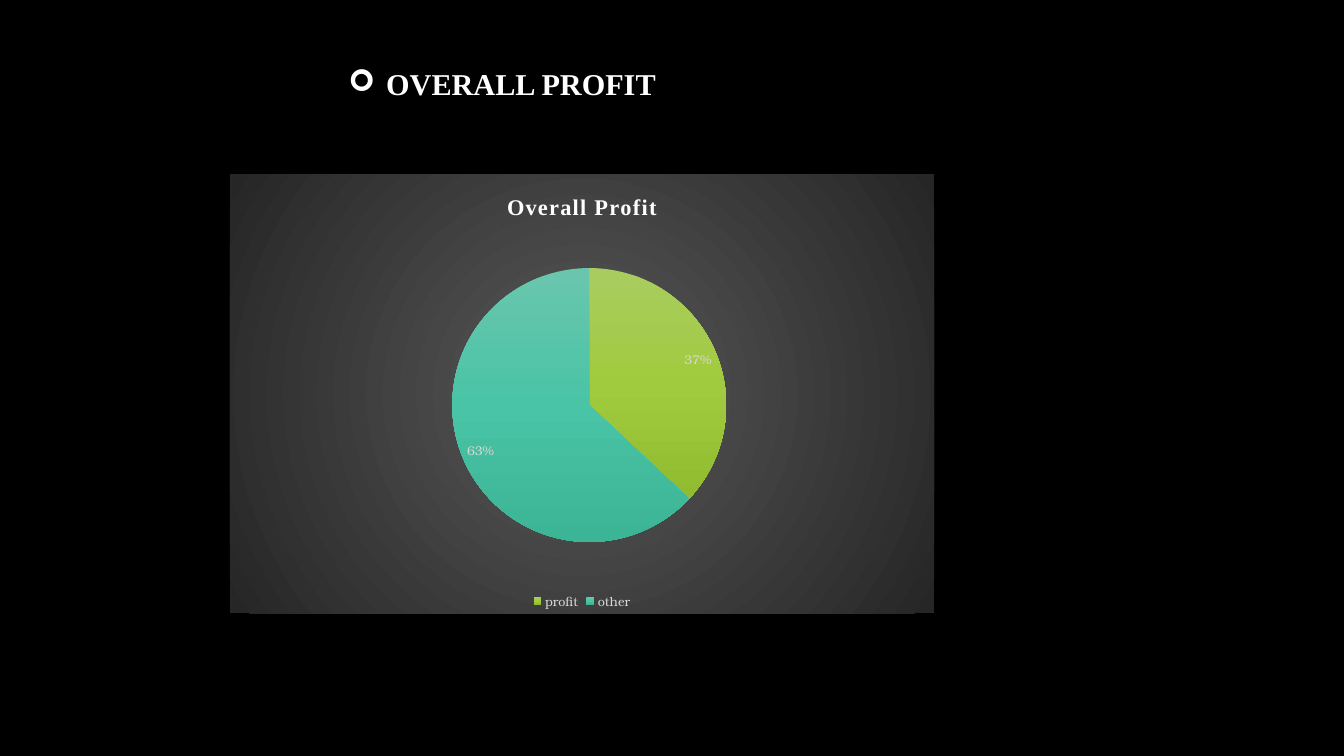
from lxml import etree
from pptx import Presentation
from pptx.chart.data import CategoryChartData
from pptx.dml.color import RGBColor
from pptx.enum.chart import XL_CHART_TYPE as Kind, XL_LABEL_POSITION as Spot, XL_LEGEND_POSITION as Side
from pptx.enum.text import MSO_ANCHOR as Anchor, PP_ALIGN as Align
from pptx.oxml import parse_xml
from pptx.oxml.ns import nsdecls, qn
from pptx.util import Cm, Pt

HUES = {
    "back": "000000", "text": "FFFFFF", "soft": "D9D9D9",
    "panel": ["595959", "262626"],
    "profit": ["A9CC61", "A1CB3E", "92BC30"],
    "other": ["69C6AD", "4AC4A6", "3CB496"],
}
SERIF = "Times New Roman"
BODY = "TeX Gyre Bonum"


def style(font, size, hue, face, bold=False):
    font.size, font.name, font.bold = Pt(size), face, bold
    font.color.rgb = RGBColor.from_string(HUES[hue])


def blend(hues, shade):
    step = 100000 // (len(hues) - 1)
    stops = "".join(
        f'<a:gs pos="{i * step}"><a:srgbClr val="{hue}"/></a:gs>'
        for i, hue in enumerate(hues))
    return parse_xml(
        f'<a:gradFill {nsdecls("a")} rotWithShape="1">'
        f'<a:gsLst>{stops}</a:gsLst>{shade}</a:gradFill>')


deck = Presentation()
deck.slide_width, deck.slide_height = Cm(33.87), Cm(19.05)
slide = deck.slides.add_slide(deck.slide_layouts[5])
back = slide.background.fill
back.solid()
back.fore_color.rgb = RGBColor.from_string(HUES["back"])

title = slide.shapes.title
title.left, title.top, title.width, title.height = Cm(1.02), Cm(1.3), Cm(23.27), Cm(1.17)
frame = title.text_frame
frame.word_wrap = True
frame.vertical_anchor = Anchor.MIDDLE
para = frame.paragraphs[0]
para.alignment = Align.CENTER
para.line_spacing = 1.5
props = para._p.get_or_add_pPr()
props.set("marL", str(Cm(0.95)))
props.set("indent", str(Cm(-0.95)))
etree.SubElement(props, qn("a:buFont")).set("typeface", "Wingdings")
etree.SubElement(props, qn("a:buChar")).set("char", "➢")
run = para.add_run()
run.text = "OVERALL PROFIT"
style(run.font, 21.6, "text", SERIF, True)

data = CategoryChartData(number_format="0%")
data.categories = ["profit", "other"]
data.add_series("Series 1", [0.37, 0.63])
chart = slide.shapes.add_chart(
    Kind.PIE, Cm(5.79), Cm(4.39), Cm(17.75), Cm(11.07), data).chart
style(chart.font, 10, "text", BODY)

chart.has_title = True
head = chart.chart_title
head.include_in_layout = False
run = head.text_frame.paragraphs[0].add_run()
run.text = "Overall Profit"
style(run.font, 16, "text", SERIF, True)
run.font._element.set("spc", "100")

chart.has_legend = True
legend = chart.legend
legend.position = Side.BOTTOM
legend.include_in_layout = False
style(legend.font, 9, "soft", BODY)

plot = chart.plots[0]
plot.vary_by_categories = True
plot.has_data_labels = True
labels = plot.data_labels
labels.show_value = True
labels.show_percentage = False
labels.number_format = "0%"
labels.number_format_is_linked = False
labels.position = Spot.BEST_FIT
style(labels.font, 9, "soft", BODY)

for i, name in enumerate(["profit", "other"]):
    look = plot.series[0].points[i].format
    look.line.fill.background()
    look.line._get_or_add_ln().getparent().insert(
        0, blend(HUES[name], '<a:lin ang="5400000" scaled="0"/>'))

root = chart._chartSpace
panel = parse_xml(f'<c:spPr {nsdecls("c", "a")}><a:ln><a:noFill/></a:ln></c:spPr>')
panel.insert(0, blend(
    HUES["panel"],
    '<a:path path="circle"><a:fillToRect l="50000" t="50000" r="50000" b="50000"/></a:path>'))
root.find(qn("c:chart")).addnext(panel)

area = root.find(".//" + qn("c:plotArea"))
for old in area.findall(qn("c:layout")):
    area.remove(old)
sizes = "".join(
    f'<c:{key} val="{val}"/>' for key, val in
    [("layoutTarget", "inner"), ("xMode", "edge"), ("yMode", "edge"),
     ("x", 0.316), ("y", 0.156), ("w", 0.389), ("h", 0.739)])
area.insert(0, parse_xml(
    f'<c:layout {nsdecls("c")}><c:manualLayout>{sizes}</c:manualLayout></c:layout>'))

deck.save("out.pptx")
